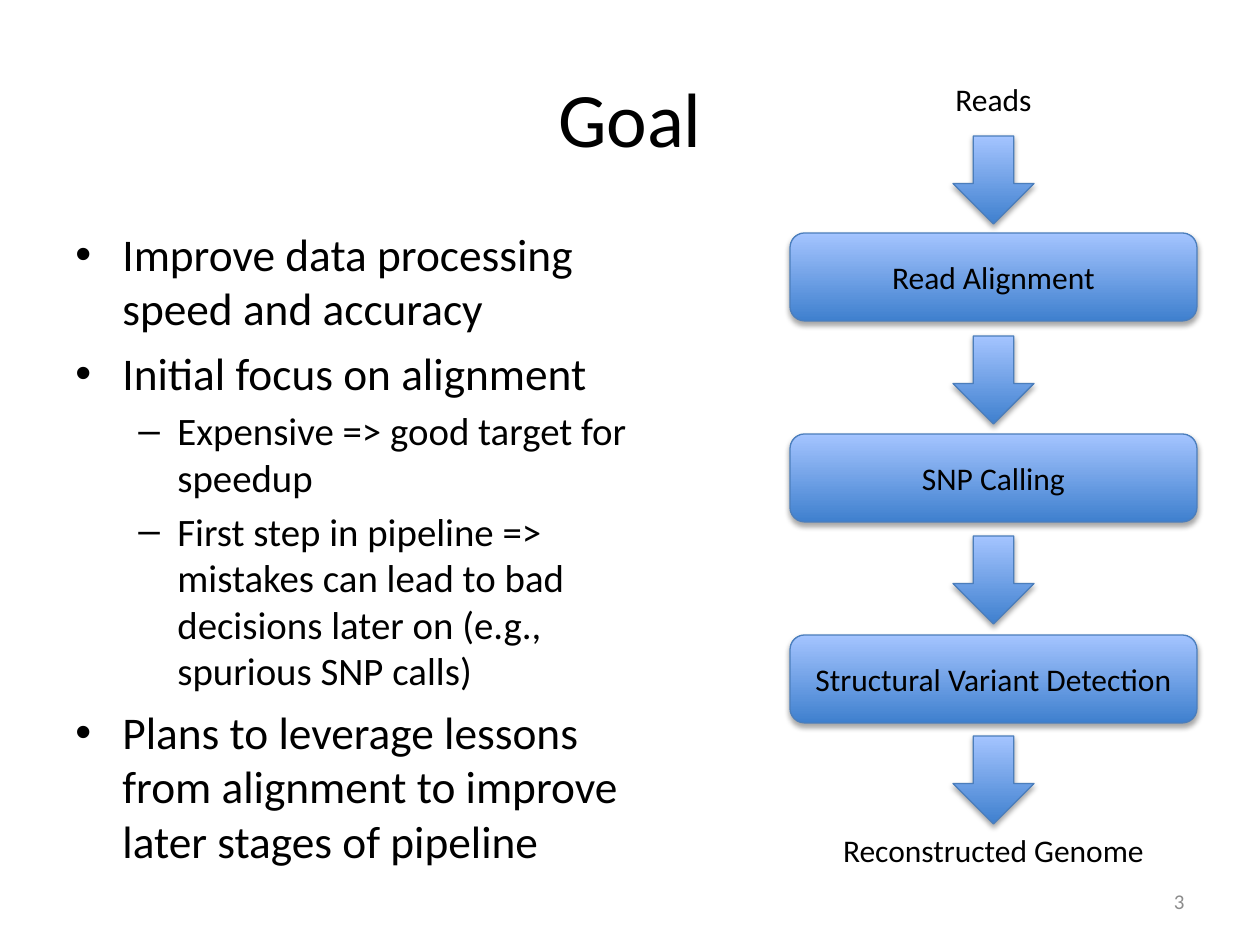
from dataclasses import dataclass

import pptx
import pptx.dml.color
import pptx.enum.shapes
import pptx.enum.text
import pptx.oxml
import pptx.oxml.ns
import pptx.util
from lxml import etree

RGBColor = pptx.dml.color.RGBColor
Align = pptx.enum.text.PP_ALIGN
Anchor = pptx.enum.text.MSO_ANCHOR
Shape = pptx.enum.shapes.MSO_SHAPE

BLACK = RGBColor(0x00, 0x00, 0x00)
GRAY = RGBColor(0x8C, 0x8C, 0x8C)
LIGHT_BLUE = RGBColor(0xA4, 0xC4, 0xFF)
DEEP_BLUE = RGBColor(0x3F, 0x80, 0xCE)
OUTLINE_BLUE = RGBColor(0x4B, 0x7E, 0xBC)
FONT = "Calibri"
PX_PER_INCH = 126


@dataclass(frozen=True)
class Box:
    left: int
    top: int
    width: int
    height: int

    def emu(self) -> list[int]:
        return [px(n) for n in (self.left, self.top, self.width, self.height)]


@dataclass(frozen=True)
class Level:
    bullet: str
    size: float
    margin: int
    hanging: int
    space_before: int


@dataclass(frozen=True)
class Point:
    level: int
    text: str


LEVELS = [Level("•", 25.9, 47, 47, 6), Level("–", 22.2, 102, 39, 4)]
POINTS = [
    Point(0, "Improve data processing speed and accuracy"),
    Point(0, "Initial focus on alignment"),
    Point(1, "Expensive => good target for speedup"),
    Point(1, "First step in pipeline => mistakes can lead to bad decisions "
             "later on (e.g., spurious SNP calls)"),
    Point(0, "Plans to leverage lessons from alignment to improve later "
             "stages of pipeline"),
]

# Pipeline column
STAGES = ["Read Alignment", "SNP Calling", "Structural Variant Detection"]
COLUMN_LEFT, COLUMN_WIDTH = 790, 407
ARROW_WIDTH, PART_HEIGHT, LABEL_HEIGHT = 81, 88, 50
FIRST_ARROW_TOP, ARROW_STEP = 136, 200
FIRST_STAGE_TOP, STAGE_STEP = 233, 201


def px(length: int) -> int:
    return pptx.util.Emu(round(length * 914400 / PX_PER_INCH))


def style(paragraph, size: float, color: RGBColor, align: Align) -> None:
    paragraph.alignment = align
    paragraph.font.name = FONT
    paragraph.font.size = pptx.util.Pt(size)
    paragraph.font.color.rgb = color


def add_label(slide, box: Box, text: str, size: float, color: RGBColor = BLACK,
              align: Align = Align.CENTER, anchor: Anchor = Anchor.TOP) -> None:
    frame = slide.shapes.add_textbox(*box.emu()).text_frame
    frame.word_wrap = True
    frame.vertical_anchor = anchor
    frame.text = text
    style(frame.paragraphs[0], size, color, align)


def add_points(slide, box: Box, points: list[Point]) -> None:
    frame = slide.shapes.add_textbox(*box.emu()).text_frame
    frame.word_wrap = True
    for index, point in enumerate(points):
        paragraph = frame.add_paragraph() if index else frame.paragraphs[0]
        level = LEVELS[point.level]
        paragraph.text = point.text
        paragraph.level = point.level
        paragraph.space_before = pptx.util.Pt(level.space_before)
        style(paragraph, level.size, BLACK, Align.LEFT)
        # Hanging bullet
        properties = paragraph._p.get_or_add_pPr()
        properties.set("marL", str(px(level.margin)))
        properties.set("indent", str(-px(level.hanging)))
        font = etree.SubElement(properties, pptx.oxml.ns.qn("a:buFont"))
        font.set("typeface", "Arial")
        bullet = etree.SubElement(properties, pptx.oxml.ns.qn("a:buChar"))
        bullet.set("char", level.bullet)
        # Bullets must come before the default run properties
        properties.append(properties.find(pptx.oxml.ns.qn("a:defRPr")))


def add_pipeline_part(slide, kind: Shape, box: Box, text: str = "") -> None:
    part = slide.shapes.add_shape(kind, *box.emu())
    part.fill.gradient()
    part.fill.gradient_angle = 90
    for stop, color in zip(part.fill.gradient_stops, (DEEP_BLUE, LIGHT_BLUE)):
        stop.color.rgb = color
    part.line.color.rgb = OUTLINE_BLUE
    part.line.width = pptx.util.Pt(0.75)
    # Soft shadow below
    part.shadow.inherit = False
    effects = part._element.spPr.find(pptx.oxml.ns.qn("a:effectLst"))
    effects.append(pptx.oxml.parse_xml(
        f'<a:outerShdw {pptx.oxml.ns.nsdecls("a")} blurRad="40000" '
        'dist="23000" dir="5400000" rotWithShape="0"><a:srgbClr val="000000">'
        '<a:alpha val="35000"/></a:srgbClr></a:outerShdw>'))
    if text:
        part.text_frame.word_wrap = True
        part.text_frame.vertical_anchor = Anchor.MIDDLE
        part.text_frame.text = text
        style(part.text_frame.paragraphs[0], 18, BLACK, Align.CENTER)


def add_pipeline(slide) -> None:
    for label, top in (("Reads", 74), ("Reconstructed Genome", 825)):
        add_label(slide, Box(COLUMN_LEFT, top, COLUMN_WIDTH, LABEL_HEIGHT), label, 18)
    for index, stage in enumerate(STAGES):
        top = FIRST_STAGE_TOP + index * STAGE_STEP
        add_pipeline_part(slide, Shape.ROUNDED_RECTANGLE,
                          Box(COLUMN_LEFT, top, COLUMN_WIDTH, PART_HEIGHT), stage)
    arrow_left = COLUMN_LEFT + (COLUMN_WIDTH - ARROW_WIDTH) // 2
    for index in range(len(STAGES) + 1):
        top = FIRST_ARROW_TOP + index * ARROW_STEP
        add_pipeline_part(slide, Shape.DOWN_ARROW,
                          Box(arrow_left, top, ARROW_WIDTH, PART_HEIGHT))


def main() -> None:
    deck = pptx.Presentation()
    deck.slide_width, deck.slide_height = px(1260), px(945)
    slide = deck.slides.add_slide(deck.slide_layouts[6])

    # Title and goals
    add_label(slide, Box(63, 38, 1134, 157), "Goal", 44, anchor=Anchor.MIDDLE)
    add_points(slide, Box(63, 220, 588, 670), POINTS)

    add_pipeline(slide)

    # Slide number
    add_label(slide, Box(903, 876, 294, 50), "3", 12, GRAY, Align.RIGHT, Anchor.MIDDLE)
    deck.save("out.pptx")


if __name__ == "__main__":
    main()
